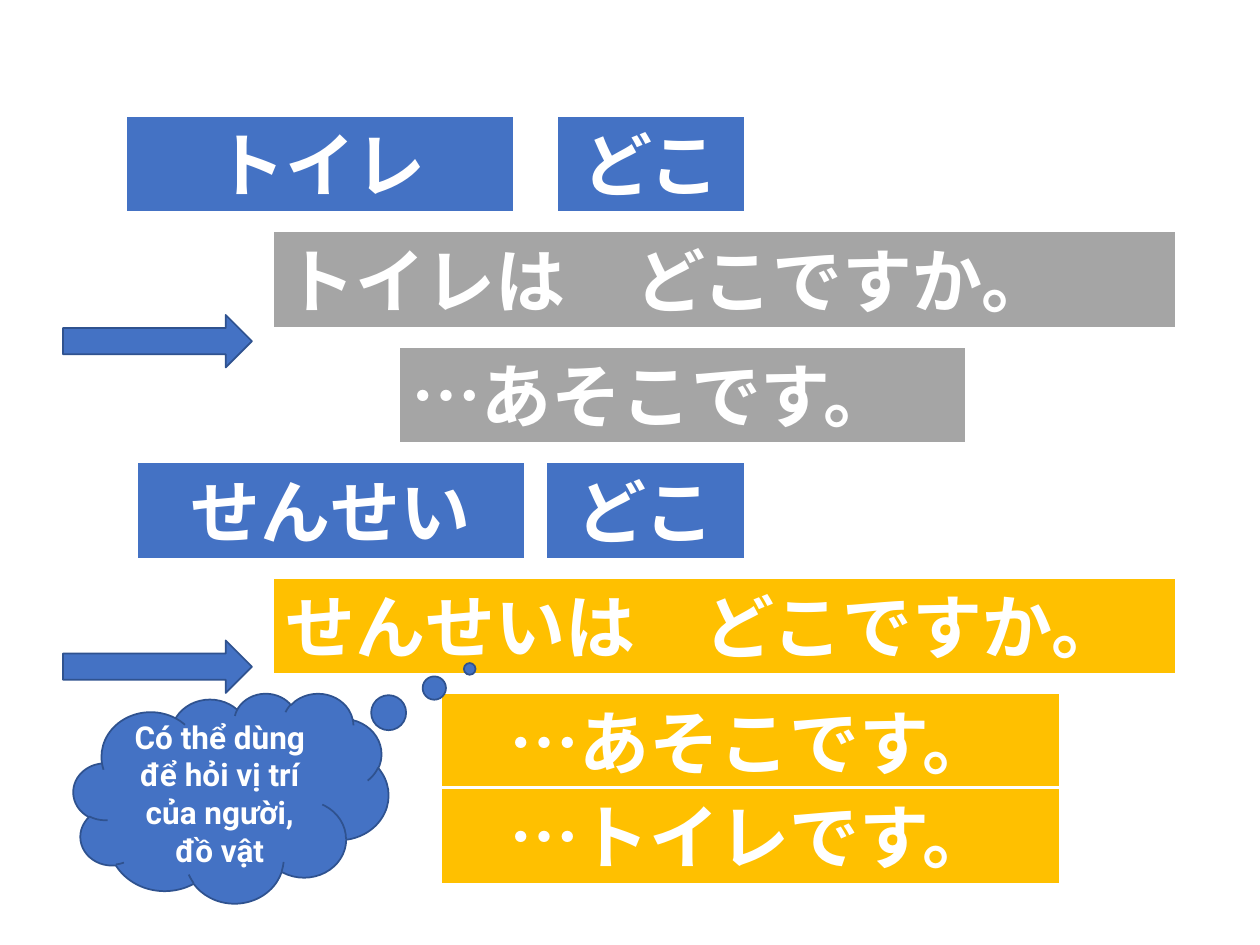
from lxml.etree import SubElement
from pptx import Presentation
from pptx.dml.color import RGBColor
from pptx.enum.shapes import MSO_SHAPE
from pptx.enum.text import MSO_ANCHOR, MSO_AUTO_SIZE, PP_ALIGN
from pptx.oxml.ns import qn
from pptx.util import Inches, Pt

BLUE, GRAY, GOLD = "4472C4", "A5A5A5", "FFC000"
WHITE, NAVY = "FFFFFF", "2F528F"
LEFT, CENTER = PP_ALIGN.LEFT, PP_ALIGN.CENTER

# Grid: 12 cells to the inch; phrase rows are 11 cells apart.
CELL = Inches(1) / 12
ROW_STEP = 11
PHRASE_HEIGHT = 0.77 * 12

# text, column, row, width in columns, fill, alignment
PHRASES = [
    ("トイレ", 12, 1, 37, BLUE, CENTER),
    ("どこ", 53, 1, 18, BLUE, CENTER),
    ("トイレは　どこですか。", 26, 2, 86, GRAY, LEFT),
    ("…あそこです。", 38, 3, 54, GRAY, LEFT),
    ("せんせい", 13, 4, 37, BLUE, CENTER),
    ("どこ", 52, 4, 19, BLUE, CENTER),
    ("せんせいは　どこですか。", 26, 5, 86, GOLD, LEFT),
    ("…あそこです。", 42, 6, 59, GOLD, CENTER),
    ("…トイレです。", 42, 75 / ROW_STEP, 59, GOLD, CENTER),
]
ARROW_TOPS = [30, 61]
NOTE = "Có thể dùng để hỏi vị trí của người, đồ vật"
NOTE_POINTER = (0.758, -0.615)


def color(value):
    return RGBColor.from_string(value)


def add_figure(page, kind, cells, fill, line, line_width):
    """Add a preset shape placed by (left, top, width, height) in grid cells."""
    figure = page.shapes.add_shape(kind, *(round(n * CELL) for n in cells))
    figure.shadow.inherit = False
    figure.fill.solid()
    figure.fill.fore_color.rgb = color(fill)
    figure.line.color.rgb = color(line)
    figure.line.width = Pt(line_width)
    return figure


def write(figure, text, font, size, align, frame_format):
    frame = figure.text_frame
    for name, value in {"word_wrap": True, **frame_format}.items():
        setattr(frame, name, value)
    paragraph = frame.paragraphs[0]
    paragraph.alignment = align
    span = paragraph.add_run()
    span.text = text
    span.font.color.rgb = color(WHITE)
    for name, value in {"name": font, "size": Pt(size), "bold": True}.items():
        setattr(span.font, name, value)
    east_asian = SubElement(span.font._element, qn("a:ea"))
    east_asian.set("typeface", font)


def main():
    deck = Presentation()
    deck.slide_width, deck.slide_height = Inches(10), Inches(7.5)
    page = deck.slides.add_slide(deck.slide_layouts[6])

    for text, column, row, width, fill, align in PHRASES:
        cells = (column, row * ROW_STEP, width, PHRASE_HEIGHT)
        box = add_figure(page, MSO_SHAPE.RECTANGLE, cells, fill, WHITE, 1.5)
        write(box, text, "Noto Sans CJK JP", 40, align,
              {"vertical_anchor": MSO_ANCHOR.TOP,
               "auto_size": MSO_AUTO_SIZE.SHAPE_TO_FIT_TEXT})

    for top in ARROW_TOPS:
        add_figure(page, MSO_SHAPE.RIGHT_ARROW, (6, top, 18, 5), BLUE, NAVY, 1)

    cloud = add_figure(page, MSO_SHAPE.CLOUD_CALLOUT, (7, 66, 30, 20), BLUE, NAVY, 1)
    for index, value in enumerate(NOTE_POINTER):
        cloud.adjustments[index] = value
    write(cloud, NOTE, "Roboto", 18, CENTER, {"vertical_anchor": MSO_ANCHOR.MIDDLE})

    deck.save("out.pptx")


if __name__ == "__main__":
    main()
